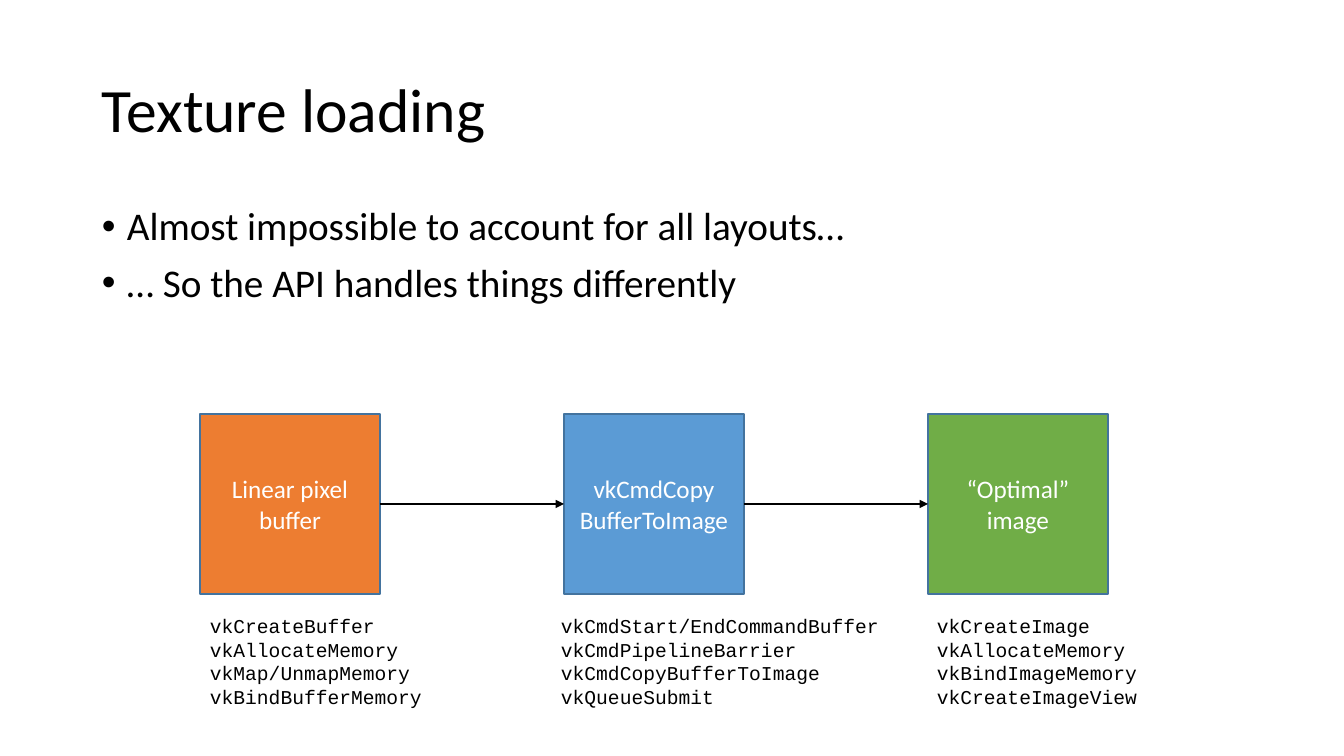
from lxml import etree
from pptx import Presentation
from pptx import util as u
from pptx.dml.color import RGBColor
from pptx.enum import shapes, text
from pptx.oxml.ns import qn

BLACK = RGBColor(0x00, 0x00, 0x00)
WHITE = RGBColor(0xFF, 0xFF, 0xFF)
ORANGE = RGBColor(0xED, 0x7D, 0x31)
BLUE = RGBColor(0x5B, 0x9B, 0xD5)
GREEN = RGBColor(0x70, 0xAD, 0x47)
EDGE = RGBColor(0x43, 0x73, 0x9E)

TITLE = ["Texture loading"]
POINTS = [
    "Almost impossible to account for all layouts…",
    "… So the API handles things differently",
]
# label lines, fill, calls, left and width of the call list
STAGES = [
    (["Linear pixel buffer"], ORANGE,
     ["vkCreateBuffer", "vkAllocateMemory", "vkMap/UnmapMemory",
      "vkBindBufferMemory"], 200, 234),
    (["vkCmdCopy", "BufferToImage"], BLUE,
     ["vkCmdStart/EndCommandBuffer", "vkCmdPipelineBarrier",
      "vkCmdCopyBufferToImage", "vkQueueSubmit"], 551, 340),
    (["“Optimal” image"], GREEN,
     ["vkCreateImage", "vkAllocateMemory", "vkBindImageMemory",
      "vkCreateImageView"], 927, 222),
]

HEAD = {"name": "Calibri", "size": u.Pt(44)}
BODY = {"name": "Calibri", "size": u.Pt(28)}
LABEL = {"name": "Calibri", "size": u.Pt(18)}
CODE = {"name": "Courier New", "size": u.Pt(14)}

WIDE, HIGH = 1344, 756
LEFT, SPAN = 92, 1159
SIDE, STEP = 180, 364
START, TOP = 200, 414
INDENT = 25


def px(n):
    return round(n * u.Inches(1) / 100.8)


def write(frame, lines, font, color, bullet=False, **form):
    """Fill a text frame, one paragraph a line; form holds paragraph values."""
    for i, line in enumerate(lines):
        para = frame.add_paragraph() if i else frame.paragraphs[0]
        para.text = line
        if bullet:
            props = para._p.get_or_add_pPr()
            props.set("marL", str(px(INDENT)))
            props.set("indent", str(-px(INDENT)))
            etree.SubElement(props, qn("a:buFont")).set("typeface", "Arial")
            etree.SubElement(props, qn("a:buChar")).set("char", "•")
            if i:
                para.space_before = u.Pt(10)
        for key, value in form.items():
            setattr(para, key, value)
        for key, value in font.items():
            setattr(para.font, key, value)
        para.font.color.rgb = color


def add_text(slide, spot, lines, font, wrap=True, anchor=text.MSO_ANCHOR.TOP,
             **form):
    frame = slide.shapes.add_textbox(*map(px, spot)).text_frame
    frame.word_wrap = wrap
    frame.vertical_anchor = anchor
    if not wrap:
        frame.auto_size = text.MSO_AUTO_SIZE.SHAPE_TO_FIT_TEXT
    write(frame, lines, font, BLACK, **form)


def add_stage(slide, x, lines, fill):
    box = slide.shapes.add_shape(shapes.MSO_SHAPE.RECTANGLE,
                                 *map(px, (x, TOP, SIDE, SIDE)))
    box.shadow.inherit = False
    box.fill.solid()
    box.fill.fore_color.rgb = fill
    box.line.color.rgb = EDGE
    box.line.width = u.Pt(1)
    frame = box.text_frame
    frame.word_wrap = True
    frame.vertical_anchor = text.MSO_ANCHOR.MIDDLE
    write(frame, lines, LABEL, WHITE, alignment=text.PP_ALIGN.CENTER)
    return box


def add_arrow(slide, first, last):
    wire = slide.shapes.add_connector(shapes.MSO_CONNECTOR.STRAIGHT, 0, 0, 0, 0)
    wire.begin_connect(first, 3)
    wire.end_connect(last, 1)
    wire.line.color.rgb = BLACK
    wire.line.width = u.Pt(1.5)
    tail = etree.SubElement(wire.line._get_or_add_ln(), qn("a:tailEnd"))
    tail.set("type", "triangle")
    etree.SubElement(wire._element.spPr, qn("a:effectLst"))


def main():
    deck = Presentation()
    deck.slide_width, deck.slide_height = px(WIDE), px(HIGH)
    slide = deck.slides.add_slide(deck.slide_layouts[6])

    add_text(slide, (LEFT, 40, SPAN, 146), TITLE, HEAD,
             anchor=text.MSO_ANCHOR.MIDDLE, line_spacing=0.9)
    add_text(slide, (LEFT, 202, SPAN, 154), POINTS, BODY,
             bullet=True, line_spacing=0.9)

    boxes = [add_stage(slide, START + i * STEP, label, fill)
             for i, (label, fill, *_) in enumerate(STAGES)]
    for pair in zip(boxes, boxes[1:]):
        add_arrow(slide, *pair)
    for _, _, calls, x, width in STAGES:
        add_text(slide, (x, 609, width, 105), calls, CODE, wrap=False)

    deck.save("out.pptx")


if __name__ == "__main__":
    main()
